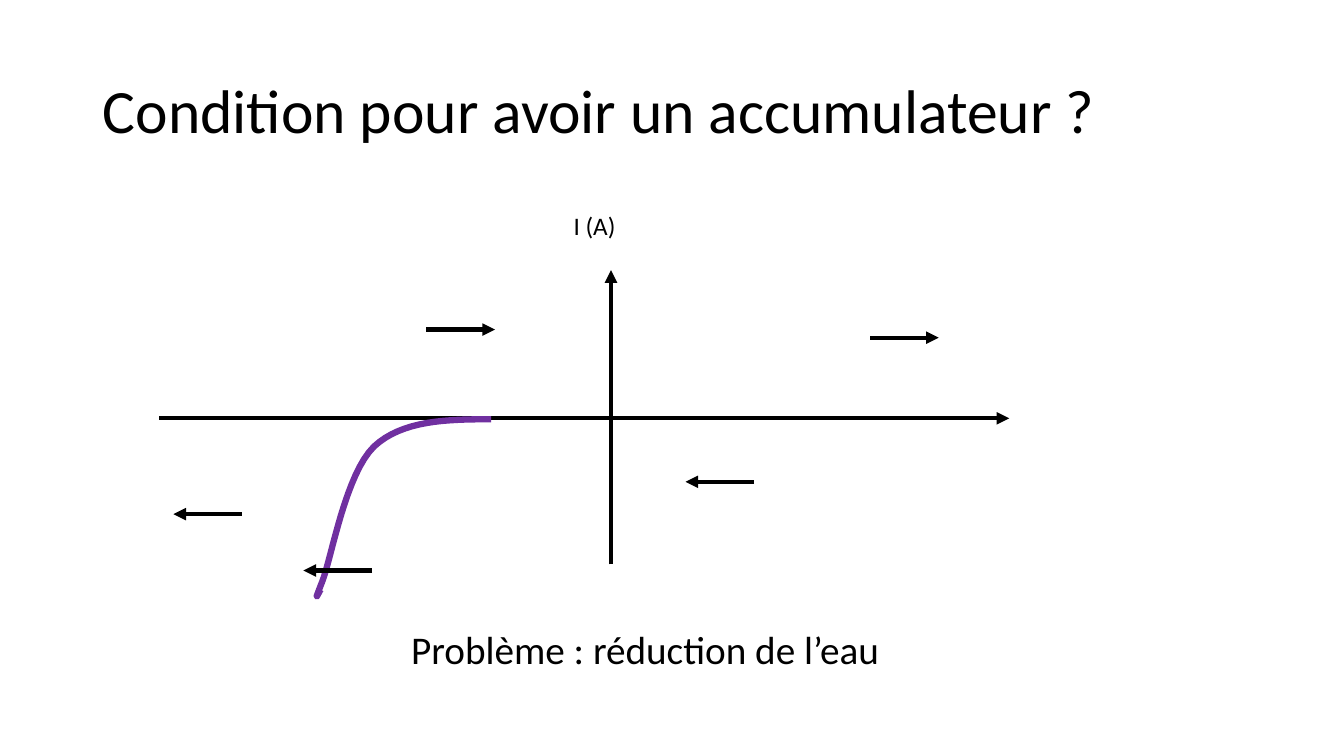
from lxml.etree import SubElement
from pptx import Presentation
from pptx.dml.color import RGBColor
from pptx.enum.shapes import MSO_CONNECTOR
from pptx.enum.text import MSO_ANCHOR, MSO_AUTO_SIZE, PP_ALIGN
from pptx.oxml.ns import qn
from pptx.util import Inches, Pt

BLACK = RGBColor(0x00, 0x00, 0x00)
PURPLE = RGBColor(0x70, 0x30, 0xA0)
FONT = "Calibri"

ARROW_LENGTH = 0.68
# Left end and height of each electron arrow, measured from the graph's corner
RIGHT_ARROWS = [(2.65, 0.59), (7.05, 0.67)]
LEFT_ARROWS = [(5.22, 2.1), (0.14, 2.42), (1.43, 2.98)]

# Reduction curve: start point, then cubic segments, from the graph's corner
CURVE_START = (3.29, 1.48)
CURVE_SEGMENTS = [
    [(2.85, 1.48), (2.41, 1.49), (2.13, 1.75)],
    [(1.85, 2.02), (1.71, 2.84), (1.62, 3.08)],
    [(1.53, 3.31), (1.56, 3.24), (1.6, 3.17)],
]
CURVE_STEPS = 16


def format_text(frame, text, size):
    frame.text = text
    frame.word_wrap = True
    paragraph = frame.paragraphs[0]
    paragraph.alignment = PP_ALIGN.LEFT
    paragraph.font.name = FONT
    paragraph.font.size = Pt(size)
    paragraph.font.color.rgb = BLACK
    return paragraph


def add_title(slide, left, top, width, height):
    title = slide.shapes.title
    title.left, title.top = Inches(left), Inches(top)
    title.width, title.height = Inches(width), Inches(height)
    frame = title.text_frame
    frame.auto_size = MSO_AUTO_SIZE.NONE
    frame.vertical_anchor = MSO_ANCHOR.MIDDLE
    heading = format_text(frame, "Condition pour avoir un accumulateur ?", 44)
    heading.line_spacing = 0.9


def add_label(slide, text, size, left, top, width, height):
    label = slide.shapes.add_textbox(
        Inches(left), Inches(top), Inches(width), Inches(height))
    format_text(label.text_frame, text, size)


def add_arrow(slide, x1, y1, x2, y2):
    arrow = slide.shapes.add_connector(
        MSO_CONNECTOR.STRAIGHT, Inches(x1), Inches(y1), Inches(x2), Inches(y2))
    arrow.line.color.rgb = BLACK
    arrow.line.width = Pt(3)
    SubElement(arrow.line._get_or_add_ln(), qn("a:tailEnd"), type="triangle")
    SubElement(arrow._element.spPr, qn("a:effectLst"))


def bezier_point(p0, p1, p2, p3, t):
    u = 1 - t
    return tuple(u**3 * a + 3 * u**2 * t * b + 3 * u * t**2 * c + t**3 * d
                 for a, b, c, d in zip(p0, p1, p2, p3))


def add_reduction_curve(slide, left, top):
    points = [CURVE_START]
    for segment in CURVE_SEGMENTS:
        start = points[-1]
        points += [bezier_point(start, *segment, step / CURVE_STEPS)
                   for step in range(1, CURVE_STEPS + 1)]
    (x0, y0), *others = [(Inches(left + x), Inches(top + y)) for x, y in points]
    builder = slide.shapes.build_freeform(x0, y0)
    builder.add_line_segments(others, close=False)
    curve = builder.convert_to_shape()
    curve.shadow.inherit = False
    curve.fill.background()
    curve.line.color.rgb = PURPLE
    curve.line.width = Pt(4.5)


def add_graph(slide, left, top, width, height):
    # Axes
    axis_y = top + 1.47
    axis_x = left + 4.48
    add_arrow(slide, left, axis_y, left + width, axis_y)
    add_arrow(slide, axis_x, top + height, axis_x, top)
    add_label(slide, "I (A)", 18, axis_x - 0.47, top - 0.64, 0.79, 0.4)

    # Curve, with the electron arrows above it
    add_reduction_curve(slide, left, top)
    for x, y in RIGHT_ARROWS:
        add_arrow(slide, left + x, top + y, left + x + ARROW_LENGTH, top + y)
    for x, y in LEFT_ARROWS:
        add_arrow(slide, left + x + ARROW_LENGTH, top + y, left + x, top + y)


def main():
    deck = Presentation()
    deck.slide_width, deck.slide_height = Inches(13.33), Inches(7.5)
    slide = deck.slides.add_slide(deck.slide_layouts[5])
    add_title(slide, 0.92, 0.4, 11.5, 1.45)
    add_graph(slide, 1.58, 2.68, 8.43, 2.92)
    add_label(slide, "Problème : réduction de l’eau", 28, 3.98, 6.15, 4.91, 0.57)
    deck.save("out.pptx")


if __name__ == "__main__":
    main()
